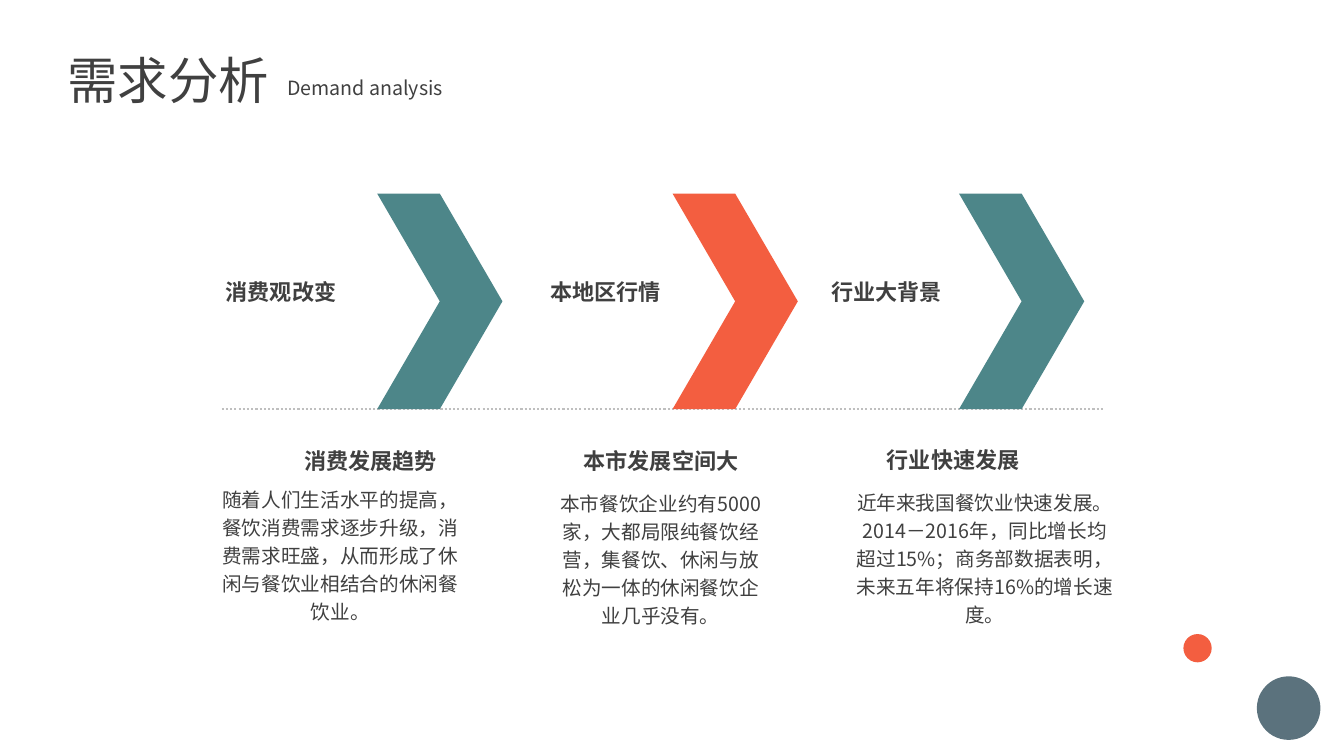
from lxml.etree import SubElement
from pptx import Presentation
from pptx.dml.color import RGBColor
from pptx.enum.dml import MSO_LINE
from pptx.enum.shapes import MSO_CONNECTOR, MSO_SHAPE
from pptx.enum.text import MSO_ANCHOR, MSO_AUTO_SIZE, PP_ALIGN
from pptx.oxml.ns import qn
from pptx.util import Pt

FONT = "Noto Sans CJK SC"
DARK = RGBColor(0x40, 0x40, 0x40)
TEAL = RGBColor(0x4D, 0x86, 0x89)
CORAL = RGBColor(0xF3, 0x5E, 0x40)
SLATE = RGBColor(0x5B, 0x72, 0x7D)
GREY = RGBColor(0xBF, 0xBF, 0xBF)

ARROW_TOP, ARROW_W, ARROW_H = 138.25, 89.5, 154
LABEL_TOP, HEAD_H, BODY_H = 195.1, 26.6, 108

# Each column: arrow (left, colour), then label, heading and body
# as (text, left, width) or (text, left, top, width)
COLUMNS = [
    ((269.4, TEAL), ("消费观改变", 154.1, 124),
     ("消费发展趋势", 210.2, 316.1, 109.4),
     ("随着人们生活水平的提高，餐饮消费需求逐步升级，消费需求旺盛，"
      "从而形成了休闲与餐饮业相结合的休闲餐饮业。", 149.8, 342, 186.5)),
    ((480.4, CORAL), ("本地区行情", 386, 124),
     ("本市发展空间大", 409.7, 316.1, 126),
     ("本市餐饮企业约有5000家，大都局限纯餐饮经营，集餐饮、"
      "休闲与放松为一体的休闲餐饮企业几乎没有。", 391.7, 344.3, 160.6)),
    ((685, TEAL), ("行业大背景", 586.8, 124),
     ("行业快速发展", 626.4, 315.4, 109.4),
     ("近年来我国餐饮业快速发展。2014－2016年，同比增长均超过15%；"
      "商务部数据表明，未来五年将保持16%的增长速度。", 604.1, 343.6, 198.7)),
]


def place(shape, left, top, width, height):
    shape.left, shape.top = Pt(left), Pt(top)
    shape.width, shape.height = Pt(width), Pt(height)


def write(shape, text, size, bold=False, align=PP_ALIGN.LEFT, wrap=True):
    frame = shape.text_frame
    frame.text = text
    frame.word_wrap = wrap
    frame.auto_size = MSO_AUTO_SIZE.SHAPE_TO_FIT_TEXT
    frame.vertical_anchor = MSO_ANCHOR.TOP
    para = frame.paragraphs[0]
    para.alignment = align
    font = para.font
    font.name, font.size, font.bold = FONT, Pt(size), bold
    font.color.rgb = DARK
    # East Asian typeface
    props = para._p.pPr.find(qn("a:defRPr"))
    SubElement(props, qn("a:ea")).set("typeface", FONT)
    return para


def add_text(slide, text, box, size, **style):
    shape = slide.shapes.add_textbox(*map(Pt, box))
    return write(shape, text, size, **style)


def add_solid(slide, kind, box, color):
    shape = slide.shapes.add_shape(kind, *map(Pt, box))
    shape.shadow.inherit = False
    shape.fill.solid()
    shape.fill.fore_color.rgb = color
    shape.line.fill.background()


def add_rule(slide, left, right, top):
    rule = slide.shapes.add_connector(
        MSO_CONNECTOR.STRAIGHT, Pt(left), Pt(top), Pt(right), Pt(top))
    rule.line.color.rgb = GREY
    rule.line.width = Pt(1.5)
    rule.line.dash_style = MSO_LINE.ROUND_DOT
    SubElement(rule._element.spPr, qn("a:effectLst"))


def add_column(slide, arrow, label, head, body):
    left, color = arrow
    add_solid(slide, MSO_SHAPE.CHEVRON,
              (left, ARROW_TOP, ARROW_W, ARROW_H), color)
    text, left, width = label
    add_text(slide, text, (left, LABEL_TOP, width, HEAD_H), 15.8, bold=True)
    text, *box = head
    add_text(slide, text, (*box, HEAD_H), 15.8, bold=True, wrap=False)
    text, *box = body
    para = add_text(slide, text, (*box, BODY_H), 14, align=PP_ALIGN.CENTER)
    para.line_spacing = Pt(20)


def main():
    deck = Presentation()
    deck.slide_width, deck.slide_height = Pt(960), Pt(540)
    slide = deck.slides.add_slide(deck.slide_layouts[5])

    # Corner dots
    add_solid(slide, MSO_SHAPE.OVAL, (897.8, 483.1, 45.4, 45.4), SLATE)
    add_solid(slide, MSO_SHAPE.OVAL, (845.3, 452.9, 20.2, 20.2), CORAL)

    # Title and subtitle
    title = slide.shapes.title
    place(title, 41, 31.7, 161.3, 51.1)
    write(title, "需求分析", 36)
    add_text(slide, "Demand analysis", (198, 50.4, 189.4, 24.5), 14)

    # Dotted rule and the three columns
    add_rule(slide, 158.4, 789.1, 292.3)
    for column in COLUMNS:
        add_column(slide, *column)

    deck.save("out.pptx")


if __name__ == "__main__":
    main()
